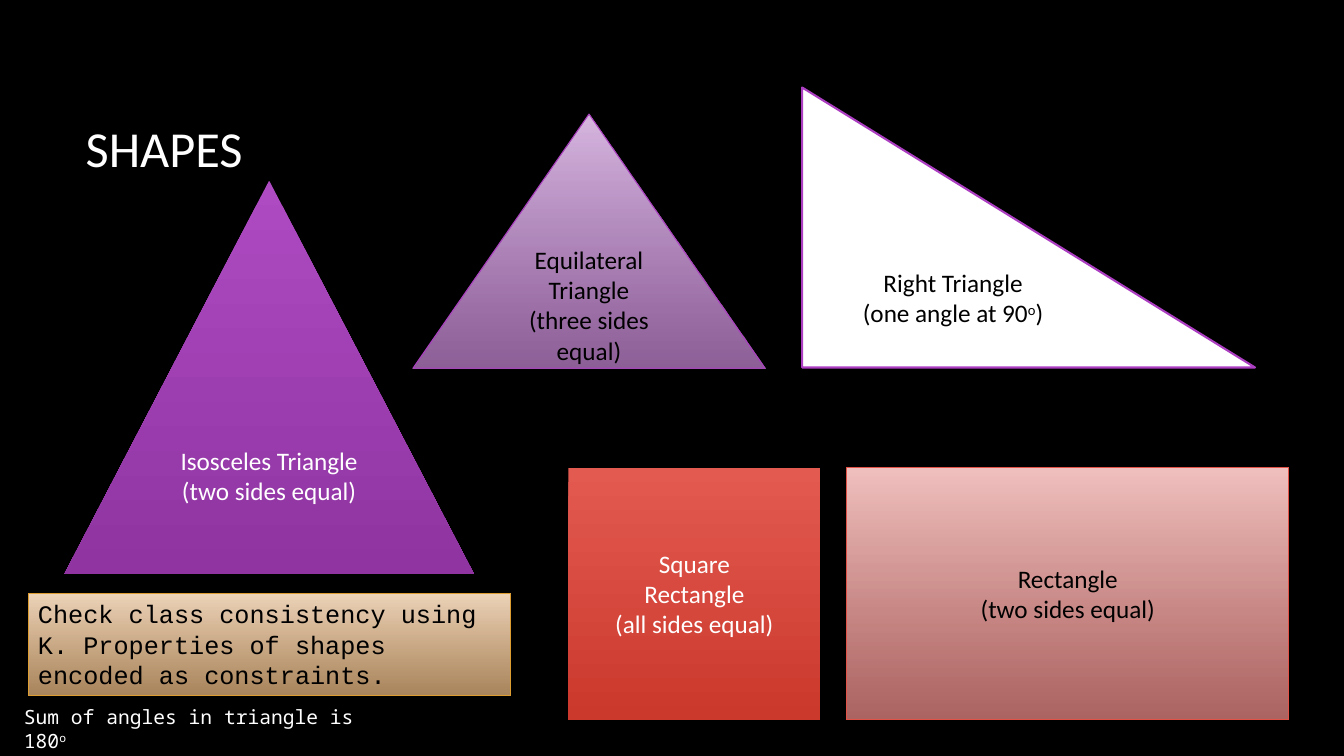
from dataclasses import dataclass

from lxml import etree
from pptx import Presentation
from pptx.dml.color import RGBColor
from pptx.enum.shapes import MSO_SHAPE
from pptx.enum.text import MSO_ANCHOR, MSO_AUTO_SIZE, PP_ALIGN
from pptx.oxml.ns import qn
from pptx.util import Pt

TRIANGLE = MSO_SHAPE.ISOSCELES_TRIANGLE
RIGHT_TRIANGLE = MSO_SHAPE.RIGHT_TRIANGLE
RECTANGLE = MSO_SHAPE.RECTANGLE
LEFT, CENTER = PP_ALIGN.LEFT, PP_ALIGN.CENTER
TOP, MIDDLE = MSO_ANCHOR.TOP, MSO_ANCHOR.MIDDLE
NO_FIT, GROW = MSO_AUTO_SIZE.NONE, MSO_AUTO_SIZE.SHAPE_TO_FIT_TEXT
TITLE_ONLY = 5

BLACK, WHITE = "000000", "FFFFFF"
PURPLE, RED, ORANGE = "AC3EC1", "E25247", "DD9D31"
FADED_OPACITY = 74

Box = tuple[float, float, float, float]


@dataclass(frozen=True)
class Figure:
    preset: MSO_SHAPE
    box: Box
    lines: tuple[str, ...]
    fill: tuple[str, ...]  # one colour, or the top and bottom of a gradient
    text_color: str = BLACK
    outline: str | None = None
    outline_width: float = 0.75
    bottom_opacity: int = 100
    font: str = "Calibri"
    align: PP_ALIGN = CENTER
    anchor: MSO_ANCHOR = MIDDLE
    fit: MSO_AUTO_SIZE = NO_FIT


FIGURES = (
    Figure(TRIANGLE, (46, 129, 292.5, 281),
           ("Isosceles Triangle", "(two sides equal)"),
           ("AE4AC2", "8F34A1"), text_color=WHITE),
    Figure(RIGHT_TRIANGLE, (573, 62.5, 323.5, 200),
           ("Right Triangle", "(one angle at 90^o^)"),
           (WHITE,), outline=PURPLE, outline_width=1.5),
    Figure(TRIANGLE, (295, 81.5, 251.5, 181.5),
           ("Equilateral Triangle", "(three sides equal)"),
           ("D8B7E1", "BF82CE"), outline=PURPLE, bottom_opacity=FADED_OPACITY),
    Figure(RECTANGLE, (406, 334, 180, 180),
           ("Square", "Rectangle", "(all sides equal)"),
           ("E35A51", "CB382C"), text_color=WHITE),
    Figure(RECTANGLE, (605, 334, 315.5, 180),
           ("Rectangle", "(two sides equal)"),
           ("F2C2C0", "E88985"), outline=RED, bottom_opacity=FADED_OPACITY),
    Figure(RECTANGLE, (20, 424, 344.5, 73),
           ("Check class consistency using K. Properties of shapes "
            "encoded as constraints.",),
           ("EFD5BA", "E4B47E"), outline=ORANGE, bottom_opacity=FADED_OPACITY,
           font="Courier New", align=LEFT, anchor=TOP, fit=GROW),
)


def rgb(color: str) -> RGBColor:
    return RGBColor.from_string(color)


def place(shape, box: Box) -> None:
    shape.left, shape.top, shape.width, shape.height = map(Pt, box)


def write(shape, *lines: str, size: float, color: str, font: str = "Calibri",
          align: PP_ALIGN = LEFT, anchor: MSO_ANCHOR = TOP,
          fit: MSO_AUTO_SIZE = NO_FIT) -> None:
    """Write one paragraph per line; text between carets is superscript."""
    frame = shape.text_frame
    frame.word_wrap = True
    frame.auto_size = fit
    frame.vertical_anchor = anchor
    for number, line in enumerate(lines):
        paragraph = frame.add_paragraph() if number else frame.paragraphs[0]
        paragraph.alignment = align
        for part, words in enumerate(line.split("^")):
            if not words:
                continue
            run = paragraph.add_run()
            run.text = words
            run.font.name = font
            run.font.size = Pt(size)
            run.font.color.rgb = rgb(color)
            if part % 2:
                run._r.get_or_add_rPr().set("baseline", "30000")


def paint(shape, colors: tuple[str, ...], bottom_opacity: int) -> None:
    """Fill with one colour, or with a gradient running downwards."""
    if len(colors) == 1:
        shape.fill.solid()
        shape.fill.fore_color.rgb = rgb(colors[0])
        return
    shape.fill.gradient()
    shape.fill.gradient_angle = 270
    for stop, color in zip(shape.fill.gradient_stops, colors):
        stop.color.rgb = rgb(color)
    if bottom_opacity < 100:
        bottom_color = list(shape._element.spPr.iter(qn("a:srgbClr")))[-1]
        alpha = etree.SubElement(bottom_color, qn("a:alpha"))
        alpha.set("val", str(bottom_opacity * 1000))


def draw_figure(slide, figure: Figure) -> None:
    shape = slide.shapes.add_shape(figure.preset, *map(Pt, figure.box))
    shape.shadow.inherit = False
    paint(shape, figure.fill, figure.bottom_opacity)
    if figure.outline:
        shape.line.color.rgb = rgb(figure.outline)
        shape.line.width = Pt(figure.outline_width)
    else:
        shape.line.fill.background()
    write(shape, *figure.lines, size=18, color=figure.text_color,
          font=figure.font, align=figure.align, anchor=figure.anchor,
          fit=figure.fit)


def main() -> None:
    deck = Presentation()
    deck.slide_width, deck.slide_height = Pt(960), Pt(540)
    slide = deck.slides.add_slide(deck.slide_layouts[TITLE_ONLY])
    slide.background.fill.solid()
    slide.background.fill.fore_color.rgb = rgb(BLACK)

    title = slide.shapes.title
    place(title, (54, 48, 798, 114))
    write(title, "SHAPES", size=36, color=WHITE, anchor=MIDDLE)

    for figure in FIGURES:
        draw_figure(slide, figure)

    angle_sum = slide.shapes.add_textbox(*map(Pt, (10, 500, 270, 24)))
    write(angle_sum, "Sum of angles in triangle is 180^o^", size=14,
          color=WHITE, font="Noto Sans Mono", fit=GROW)

    deck.save("out.pptx")


if __name__ == "__main__":
    main()
